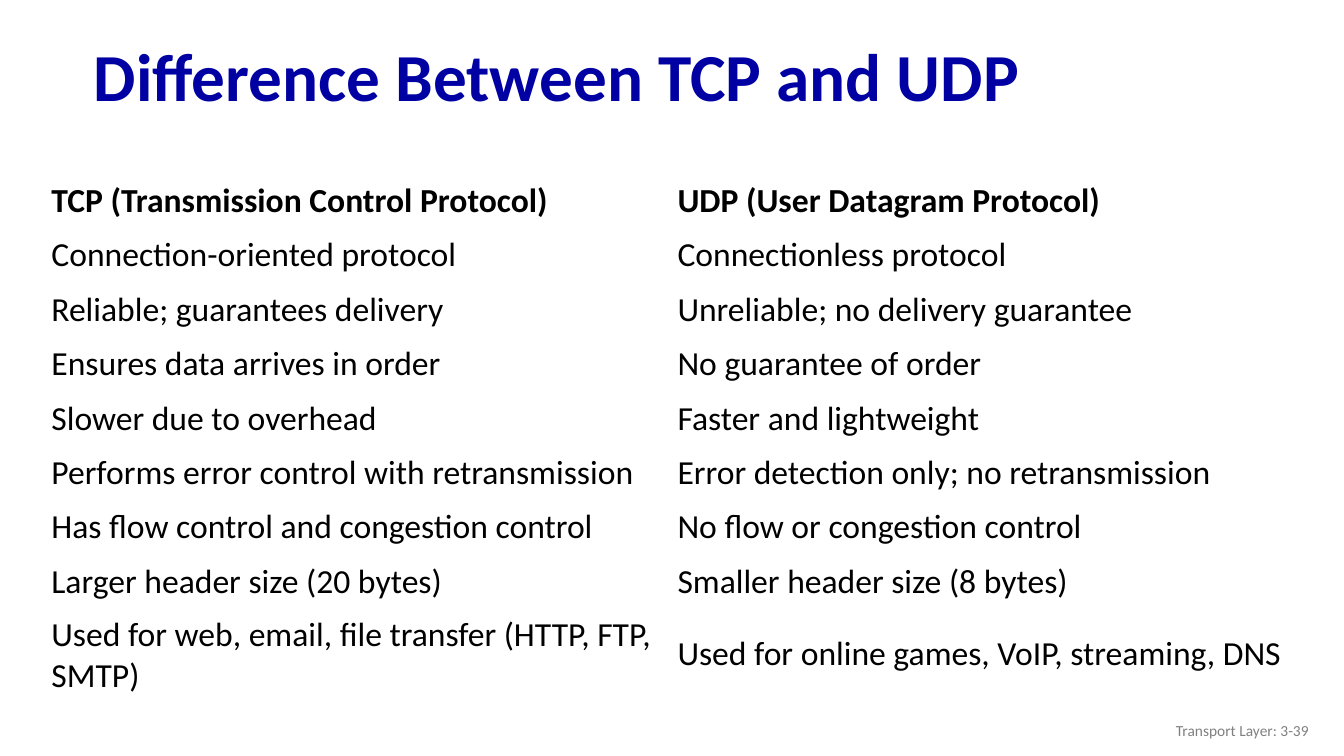
"""Build the slide that compares TCP with UDP."""
from pptx import Presentation
from pptx.dml.color import RGBColor
from pptx.enum.text import MSO_ANCHOR, PP_ALIGN
from pptx.util import Inches, Pt

FONT = "Calibri"
NAVY = RGBColor(0x00, 0x00, 0xA3)
BLACK = RGBColor(0x00, 0x00, 0x00)
GRAY = RGBColor(0x80, 0x80, 0x80)

WIDTH, HEIGHT = 13.33, 7.5
COL_WIDTH, ROW_HEIGHT = 6.21, 0.54

COMPARISON = [
    ("TCP (Transmission Control Protocol)", "UDP (User Datagram Protocol)"),
    ("Connection-oriented protocol", "Connectionless protocol"),
    ("Reliable; guarantees delivery", "Unreliable; no delivery guarantee"),
    ("Ensures data arrives in order", "No guarantee of order"),
    ("Slower due to overhead", "Faster and lightweight"),
    ("Performs error control with retransmission",
     "Error detection only; no retransmission"),
    ("Has flow control and congestion control", "No flow or congestion control"),
    ("Larger header size (20 bytes)", "Smaller header size (8 bytes)"),
    ("Used for web, email, file transfer (HTTP, FTP, SMTP)",
     "Used for online games, VoIP, streaming, DNS"),
]


def write(tf, text, size, color, bold=False):
    """Put one formatted paragraph in a text frame and return it."""
    tf.text = text
    p = tf.paragraphs[0]
    font = p.runs[0].font
    font.name, font.size, font.bold = FONT, Pt(size), bold
    font.color.rgb = color
    return p


def add_label(s, box, text, size, color, bold=False):
    """Add a wrapped, vertically centred text box and return its paragraph."""
    tf = s.shapes.add_textbox(*map(Inches, box)).text_frame
    tf.word_wrap = True
    tf.vertical_anchor = MSO_ANCHOR.MIDDLE
    return write(tf, text, size, color, bold)


def add_comparison(s, left, top, rows):
    """Add a plain table whose first row is bold."""
    n_rows, n_cols = len(rows), len(rows[0])
    table = s.shapes.add_table(
        n_rows, n_cols, Inches(left), Inches(top),
        Inches(n_cols * COL_WIDTH), Inches(n_rows * ROW_HEIGHT)).table
    table.first_row = table.horz_banding = False
    for i, row in enumerate(rows):
        for j, text in enumerate(row):
            cell = table.cell(i, j)
            cell.fill.background()
            cell.vertical_anchor = MSO_ANCHOR.MIDDLE
            write(cell.text_frame, text, 24, BLACK, bold=i == 0)


def main():
    """Create the presentation and save it."""
    prs = Presentation()
    prs.slide_width, prs.slide_height = Inches(WIDTH), Inches(HEIGHT)
    s = prs.slides.add_slide(prs.slide_layouts[6])
    title = add_label(s, (WIDTH / 16, HEIGHT * 0.04, 12.46, 0.98),
                      "Difference Between TCP and UDP", 48, NAVY, bold=True)
    title.line_spacing = 0.9
    footer = add_label(s, (WIDTH - 3.25, HEIGHT * 0.94, 3, 0.4),
                       "Transport Layer: 3-39", 11, GRAY)
    footer.alignment = PP_ALIGN.RIGHT
    add_comparison(s, 0.41, HEIGHT * 0.23, COMPARISON)
    prs.save("out.pptx")


if __name__ == "__main__":
    main()
